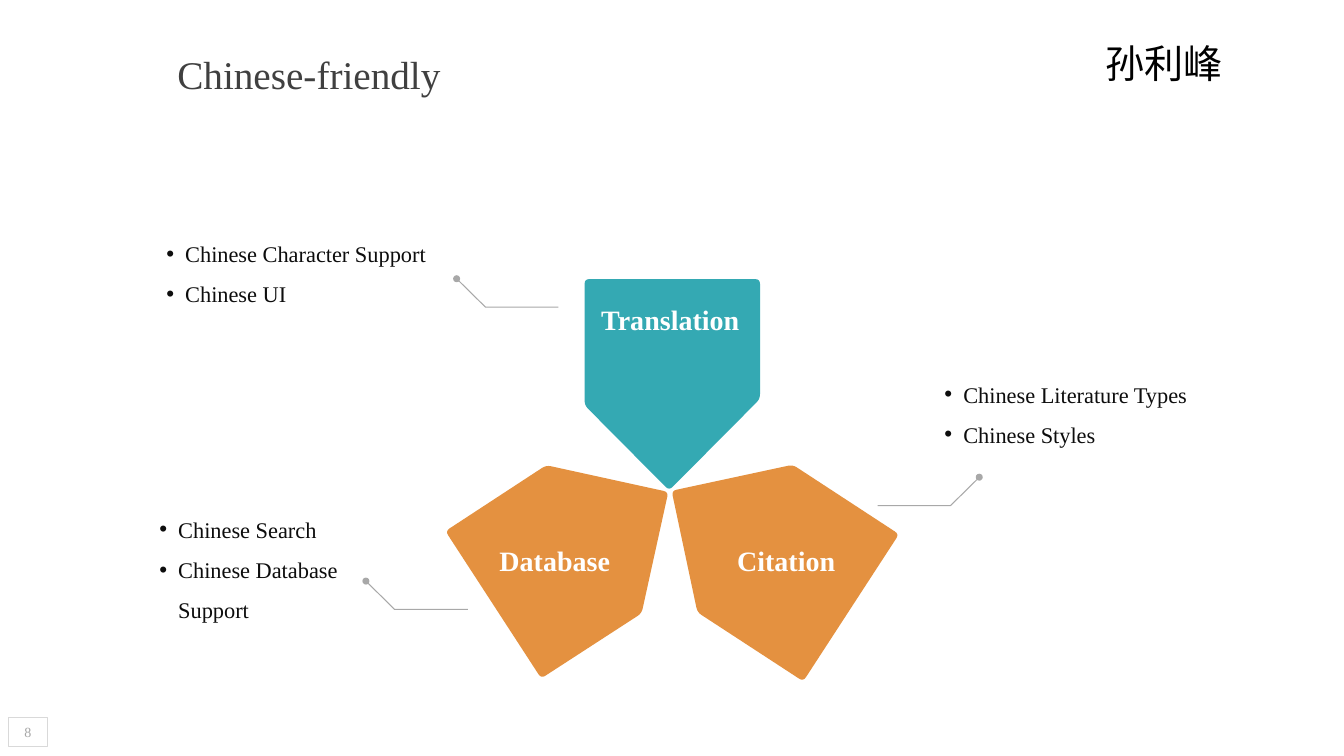
"""Build the Chinese-friendly slide with three petals and their lists."""
import pptx
import pptx.util
import pptx.dml.color
import pptx.enum.shapes
import pptx.enum.text
import pptx.oxml.ns
import lxml.etree

Pt = pptx.util.Pt
ALIGN = pptx.enum.text.PP_ALIGN
ANCHOR = pptx.enum.text.MSO_ANCHOR
KIND = pptx.enum.shapes.MSO_SHAPE

COLORS = {
    "teal": "34A9B3", "orange": "E49140", "grey": "A8A8A8", "frame": "D9D9D9",
    "page": "A6A6A6", "title": "404040", "body": "0D0D0D",
    "white": "FFFFFF", "black": "000000",
}
FONT = "Times New Roman"
TITLE = ("Chinese-friendly", (119.5, 32.4, 204.5, 41))
AUTHOR = ("孙利峰", (782.6, 24.5, 99.4, 41))
PAGE = ("8", (6.2, 512.5, 27.5, 21))
PETALS = [
    ("teal", [(417.6, 199.4), (542.9, 199.4), (542.9, 285), (478, 350.3), (417.6, 289.5)]),
    ("orange", [(479.8, 350.6), (566.3, 332), (642.2, 381.6), (573.8, 486.7), (498.2, 437.4)]),
    ("orange", [(477.4, 351.4), (390.2, 332.3), (318.2, 379.4), (386.6, 484.6), (458.3, 438.1)]),
]
LABELS = [("Translation", 414, 216), ("Database", 331.5, 388), ("Citation", 496.8, 388)]
LISTS = [
    (2, ["Chinese Character Support", "Chinese UI"], (111.6, 158.4, 212.4, 62)),
    (1, ["Chinese Search", "Chinese Database Support"], (106.6, 355.2, 152.6, 91.5)),
    (4, ["Chinese Literature Types", "Chinese Styles"], (667.4, 258.7, 196.6, 62)),
]
LEADERS = [(326.2, 199.1, 1), (261.4, 415.1, 1), (699.5, 340.9, -1)]
RUN, DROP, REACH, DOT = 20.5, 20.2, 72.7, 5
ROUND, STEPS = 3.5, 4


def rgb(name):
    """Return a named colour."""
    return pptx.dml.color.RGBColor.from_string(COLORS[name])


def place(shape, box):
    """Move and size a shape in points."""
    shape.left, shape.top, shape.width, shape.height = map(Pt, box)


def write(shape, lines, size, color, bold=False, align=ALIGN.LEFT,
          anchor=ANCHOR.TOP, inset=(7.2, 3.6), wrap=True, bullet=False):
    """Fill a shape with formatted lines."""
    frame = shape.text_frame
    frame.text = "\n".join(lines)
    frame.auto_size = pptx.enum.text.MSO_AUTO_SIZE.NONE
    frame.word_wrap, frame.vertical_anchor = wrap, anchor
    frame.margin_left = frame.margin_right = Pt(inset[0])
    frame.margin_top = frame.margin_bottom = Pt(inset[1])
    for para in frame.paragraphs:
        para.alignment = align
        para.line_spacing = 1.5 if bullet else 1.0
        para.space_before = para.space_after = Pt(0)
        for run in para.runs:
            font = run.font
            font.name, font.size, font.bold = FONT, Pt(size), bold
            font.color.rgb = rgb(color)
        if bullet:
            props = para._p.get_or_add_pPr()
            props.set("marL", str(Pt(13.5)))
            props.set("indent", str(Pt(-13.5)))
            face = lxml.etree.SubElement(props, pptx.oxml.ns.qn("a:buFont"))
            face.set("typeface", "Arial")
            mark = lxml.etree.SubElement(props, pptx.oxml.ns.qn("a:buChar"))
            mark.set("char", "•")


def paint(shape, fill=None, line=None):
    """Set the fill and line of a shape and drop its shadow."""
    shape.shadow.inherit = False
    if fill:
        shape.fill.solid()
        shape.fill.fore_color.rgb = rgb(fill)
    else:
        shape.fill.background()
    if line:
        shape.line.color.rgb = rgb(line)
        shape.line.width = Pt(0.75)
    else:
        shape.line.fill.background()


def trace(shapes, points, close):
    """Draw an outline through points."""
    spots = [(Pt(x), Pt(y)) for x, y in points]
    pen = shapes.build_freeform(*spots[0], scale=1.0)
    pen.add_line_segments(spots[1:], close=close)
    return pen.convert_to_shape()


def toward(start, goal):
    """Return the point at the rounding distance from start to goal."""
    dx, dy = goal[0] - start[0], goal[1] - start[1]
    part = ROUND / (dx * dx + dy * dy) ** 0.5
    return start[0] + dx * part, start[1] + dy * part


def soften(corners):
    """Return the outline with each corner rounded."""
    points = []
    for i, corner in enumerate(corners):
        first = toward(corner, corners[i - 1])
        last = toward(corner, corners[(i + 1) % len(corners)])
        for step in range(STEPS + 1):
            t = step / STEPS
            points.append(tuple((1 - t) ** 2 * a + 2 * t * (1 - t) * b + t * t * c
                                for a, b, c in zip(first, corner, last)))
    return points


def main():
    """Build and save the slide."""
    deck = pptx.Presentation()
    deck.slide_width, deck.slide_height = Pt(960), Pt(540)
    slide = deck.slides.add_slide(deck.slide_layouts[4])
    shapes = slide.shapes
    holders = {holder.placeholder_format.idx: holder for holder in slide.placeholders}

    place(shapes.title, TITLE[1])
    write(shapes.title, [TITLE[0]], 28, "title", wrap=False)
    for key, lines, box in LISTS:
        place(holders[key], box)
        write(holders[key], lines, 16, "body", bullet=True)
    spare = holders[3].element
    spare.getparent().remove(spare)

    for color, corners in PETALS:
        paint(trace(shapes, soften(corners), True), fill=color)
    for text, left, top in LABELS:
        label = shapes.add_textbox(*map(Pt, (left, top, 129.6, 24.5)))
        write(label, [text], 20, "white", bold=True, align=ALIGN.CENTER, inset=(0, 0))

    for x, y, way in LEADERS:
        bend = [(x, y), (x + way * RUN, y + DROP), (x + way * REACH, y + DROP)]
        paint(trace(shapes, bend, False), line="grey")
        dot = shapes.add_shape(KIND.OVAL, *map(Pt, (x - DOT / 2, y - DOT / 2, DOT, DOT)))
        paint(dot, fill="grey")

    author = shapes.add_textbox(*map(Pt, AUTHOR[1]))
    write(author, [AUTHOR[0]], 28, "black", wrap=False)
    page = shapes.add_shape(KIND.RECTANGLE, *map(Pt, PAGE[1]))
    paint(page, line="frame")
    write(page, [PAGE[0]], 10, "page", align=ALIGN.CENTER, anchor=ANCHOR.MIDDLE, inset=(0, 0))
    deck.save("out.pptx")


if __name__ == "__main__":
    main()
